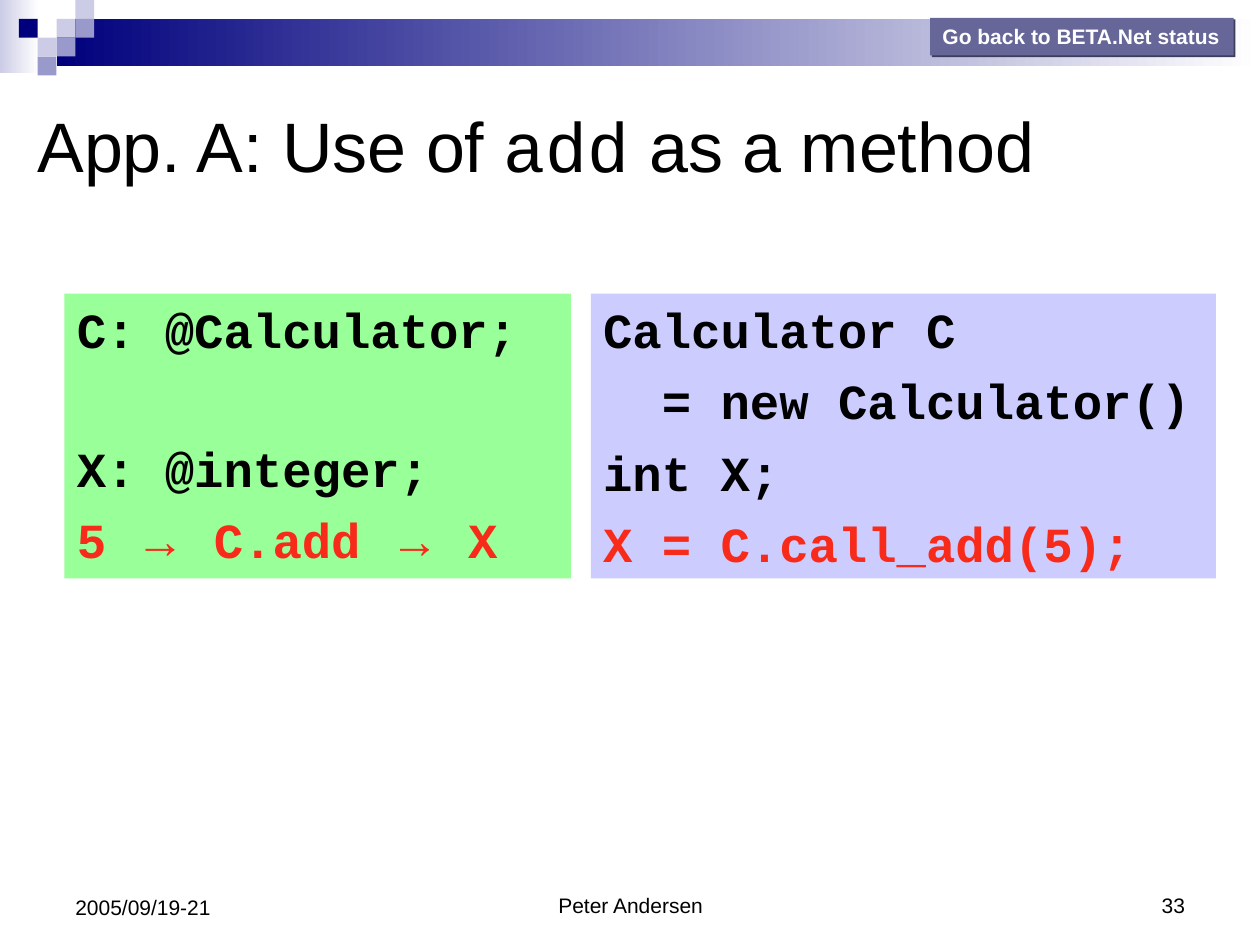
"""Build the slide that compares calling add as a method in two languages."""
from lxml.etree import SubElement
from pptx import Presentation
from pptx.dml.color import RGBColor
from pptx.enum.shapes import MSO_SHAPE as Shape
from pptx.enum.text import MSO_ANCHOR as Anchor, MSO_AUTO_SIZE as AutoSize, PP_ALIGN as Align
from pptx.oxml.ns import qn
from pptx.util import Cm, Pt

THEME = {
    "sans": "Arial", "mono": "Courier New",
    "title_size": 40, "code_size": 28, "small_size": 12, "code_gap": 7,
    "ink": "000000", "paper": "FFFFFF", "accent": "F82A1A",
    "navy": "00007D", "lilac": "9999CC", "mist": "CCCCE6",
    "button": "666699", "button_shadow": "3C3C5B",
    "green": "99FF99", "violet": "CCCCFF",
}
TITLE = [("App. A: Use of ", "sans"), ("add", "mono"), (" as a method", "sans")]
BUTTON = "Go back to BETA.Net status"
GRADIENTS = [
    ((0, 0, 0.79, 1.47), "mist", "paper"),
    ((1.14, 0.38, 24.26, 0.95), "navy", "paper"),
]
TILE = 0.38
TILES = [(3, 1, "mist"), (4, 0, "mist"), (4, 1, "lilac"), (2, 2, "mist"),
         (1, 1, "navy"), (3, 2, "lilac"), (2, 3, "lilac")]
CODE_TOP, CODE_HEIGHT = 5.92, 5.74
CODE_LINE = 1.13 * THEME["code_size"] + THEME["code_gap"]
CODE_INDENT = 0.6 * THEME["code_size"]
# Each line: runs, colour, skipped lines above, indent in characters
CODE = [
    (1.3, 10.21, "green", [
        ([("C: @Calculator;", "mono")], "ink", 0, 0),
        ([("X: @integer;", "mono")], "ink", 1, 0),
        ([("5 ", "mono"), ("→", "sans"), (" C.add ", "mono"),
          ("→", "sans"), (" X", "mono")], "accent", 0, 0),
    ]),
    (11.91, 12.6, "violet", [
        ([("Calculator C", "mono")], "ink", 0, 0),
        ([("= new Calculator()", "mono")], "ink", 0, 2),
        ([("int X;", "mono")], "ink", 0, 0),
        ([("X = C.call_add(5);", "mono")], "accent", 0, 0),
    ]),
]
FOOTERS = [
    ("Peter Andersen", (8.69, 17.35, 8.05, 1.27), Align.CENTER),
    ("33", (18.21, 17.35, 5.93, 1.27), Align.RIGHT),
    ("2005/09/19-21", (1.27, 17.35, 5.93, 1.32), Align.LEFT),
]


def color(name):
    return RGBColor.from_string(THEME[name])


def write(paragraph, runs, size, ink, bold=False, align=Align.LEFT):
    paragraph.alignment = align
    for text, face in runs:
        run = paragraph.add_run()
        run.text = text
        run.font.name = THEME[face]
        run.font.size = Pt(THEME[size])
        run.font.bold = bold
        run.font.color.rgb = color(ink)


def add_box(slide, box, fill=None):
    rect = slide.shapes.add_shape(Shape.RECTANGLE, *map(Cm, box))
    rect.shadow.inherit = False
    rect.line.fill.background()
    rect.text_frame.vertical_anchor = Anchor.TOP
    if fill:
        rect.fill.solid()
        rect.fill.fore_color.rgb = color(fill)
    return rect


def add_banner(slide):
    for box, *ends in GRADIENTS:
        band = add_box(slide, box)
        band.fill.gradient()
        band.fill.gradient_angle = 0
        for stop, end, position in zip(band.fill.gradient_stops, ends, (0, 1)):
            stop.color.rgb = color(end)
            stop.position = position
    for column, row, fill in TILES:
        add_box(slide, (column * TILE, row * TILE, TILE, TILE), fill)


def add_title(slide):
    title = slide.shapes.title
    title.left, title.top, title.width, title.height = map(Cm, (0.5, 2.31, 23.01, 1.19))
    title.text_frame.vertical_anchor = Anchor.MIDDLE
    title.text_frame.auto_size = AutoSize.NONE
    write(title.text_frame.paragraphs[0], TITLE, "title_size", "ink")


def add_code(slide, left, width, fill, lines):
    frame = add_box(slide, (left, CODE_TOP, width, CODE_HEIGHT), fill).text_frame
    for number, (runs, ink, skipped, indent) in enumerate(lines):
        paragraph = frame.add_paragraph() if number else frame.paragraphs[0]
        write(paragraph, runs, "code_size", ink, bold=True)
        paragraph.space_before = Pt(THEME["code_gap"] + skipped * CODE_LINE)
        paragraph._p.get_or_add_pPr().set("marL", str(Pt(indent * CODE_INDENT)))


def add_button(slide):
    button = add_box(slide, (18.75, 0.36, 6.12, 0.76), "button")
    button.text_frame.word_wrap = False
    write(button.text_frame.paragraphs[0], [(BUTTON, "sans")], "small_size", "paper", bold=True)
    effects = button._element.spPr.find(qn("a:effectLst"))
    shadow = SubElement(effects, qn("a:outerShdw"), dist=str(Pt(1.4)), dir="2700000")
    SubElement(shadow, qn("a:srgbClr"), val=THEME["button_shadow"])


def add_footers(slide):
    for text, box, align in FOOTERS:
        frame = slide.shapes.add_textbox(*map(Cm, box)).text_frame
        frame.word_wrap = True
        frame.vertical_anchor = Anchor.BOTTOM
        write(frame.paragraphs[0], [(text, "sans")], "small_size", "ink", align=align)


def main():
    deck = Presentation()
    deck.slide_width, deck.slide_height = Cm(25.4), Cm(19.05)
    slide = deck.slides.add_slide(deck.slide_layouts[5])
    add_banner(slide)
    add_title(slide)
    for panel in CODE:
        add_code(slide, *panel)
    add_button(slide)
    add_footers(slide)
    deck.save("out.pptx")


if __name__ == "__main__":
    main()
